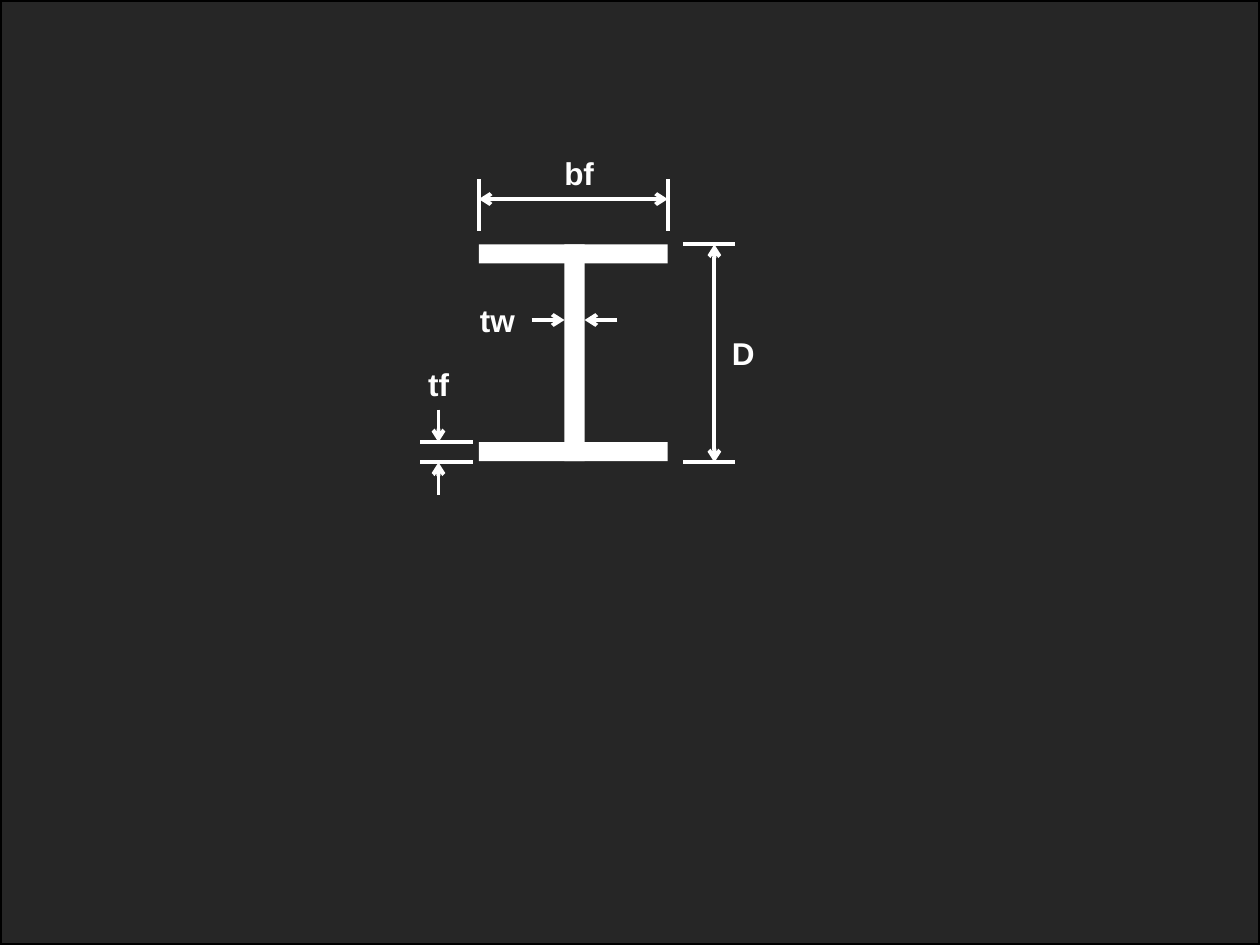
from lxml.etree import SubElement
from pptx import Presentation
from pptx.dml.color import RGBColor
from pptx.enum.shapes import MSO_CONNECTOR, MSO_SHAPE
from pptx.enum.text import MSO_AUTO_SIZE
from pptx.oxml.ns import qn
from pptx.util import Inches, Pt

COLORS = {"background": "262626", "border": "000000", "steel": "FFFFFF"}
LINE_WIDTH = 2.25
FONT = {"name": "Arial", "size": Pt(18), "bold": True}

LEFT, RIGHT, TOP, BOTTOM = 3.8, 5.3, 1.94, 3.67
FLANGE_TOP = 3.51
WEB_LEFT, WEB_RIGHT = 4.48, 4.64
FLANGE_THICKNESS = 0.15
WIDTH_Y, WEB_Y, DEPTH_X, FLANGE_X = 1.58, 2.54, 5.67, 3.48
ARROW_LENGTH = 0.26

STEEL_PLATES = [
    (WEB_LEFT, TOP, WEB_RIGHT - WEB_LEFT, 1.72),
    (LEFT, TOP, RIGHT - LEFT, FLANGE_THICKNESS),
    (LEFT, FLANGE_TOP, RIGHT - LEFT, FLANGE_THICKNESS),
]
EXTENSION_LINES = (
    [(x, 1.83, x, 1.42) for x in (LEFT, RIGHT)]
    + [(5.42, y, 5.83, y) for y in (TOP, BOTTOM)]
    + [(3.75, y, 3.33, y) for y in (BOTTOM, FLANGE_TOP)]
)
DOUBLE_ARROWS = [
    (LEFT, WIDTH_Y, RIGHT, WIDTH_Y),
    (DEPTH_X, TOP, DEPTH_X, BOTTOM),
]
SINGLE_ARROWS = [
    (FLANGE_X, FLANGE_TOP - ARROW_LENGTH, FLANGE_X, FLANGE_TOP),
    (FLANGE_X, BOTTOM + ARROW_LENGTH, FLANGE_X, BOTTOM),
    (WEB_LEFT - ARROW_LENGTH, WEB_Y, WEB_LEFT, WEB_Y),
    (WEB_RIGHT + ARROW_LENGTH, WEB_Y, WEB_RIGHT, WEB_Y),
]
LABELS = [
    ("tf", 3.3, 2.85, 0.42),
    ("tw", 3.71, 2.34, 0.62),
    ("bf", 4.38, 1.17, 0.62),
    ("D", 5.71, 2.6, 0.62),
]


def color(name):
    return RGBColor.from_string(COLORS[name])


def add_rectangle(slide, box, fill, border=None):
    shape = slide.shapes.add_shape(MSO_SHAPE.RECTANGLE, *map(Inches, box))
    shape.shadow.inherit = False
    shape.fill.solid()
    shape.fill.fore_color.rgb = color(fill)
    if border:
        shape.line.color.rgb = color(border)
        shape.line.width = Pt(LINE_WIDTH)
    else:
        shape.line.fill.background()


def add_line(slide, ends, arrowheads=()):
    connector = slide.shapes.add_connector(MSO_CONNECTOR.STRAIGHT, *map(Inches, ends))
    connector.line.color.rgb = color("steel")
    connector.line.width = Pt(LINE_WIDTH)
    outline = connector.line._get_or_add_ln()
    for arrowhead in arrowheads:
        SubElement(outline, qn(f"a:{arrowhead}"), type="arrow")
    SubElement(connector._element.spPr, qn("a:effectLst"))


def add_label(slide, text, left, top, width):
    text_box = slide.shapes.add_textbox(*map(Inches, (left, top, width, 0.4)))
    frame = text_box.text_frame
    frame.word_wrap = True
    frame.auto_size = MSO_AUTO_SIZE.SHAPE_TO_FIT_TEXT
    run = frame.paragraphs[0].add_run()
    run.text = text
    for attribute, value in FONT.items():
        setattr(run.font, attribute, value)
    run.font.color.rgb = color("steel")


def main():
    presentation = Presentation()
    presentation.slide_width, presentation.slide_height = Inches(10), Inches(7.5)
    slide = presentation.slides.add_slide(presentation.slide_layouts[6])
    add_rectangle(slide, (0, 0, 10, 7.5), "background", "border")
    for plate in STEEL_PLATES:
        add_rectangle(slide, plate, "steel")
    for ends in EXTENSION_LINES:
        add_line(slide, ends)
    for ends in DOUBLE_ARROWS:
        add_line(slide, ends, ("headEnd", "tailEnd"))
    for ends in SINGLE_ARROWS:
        add_line(slide, ends, ("tailEnd",))
    for label in LABELS:
        add_label(slide, *label)
    presentation.save("out.pptx")


if __name__ == "__main__":
    main()
